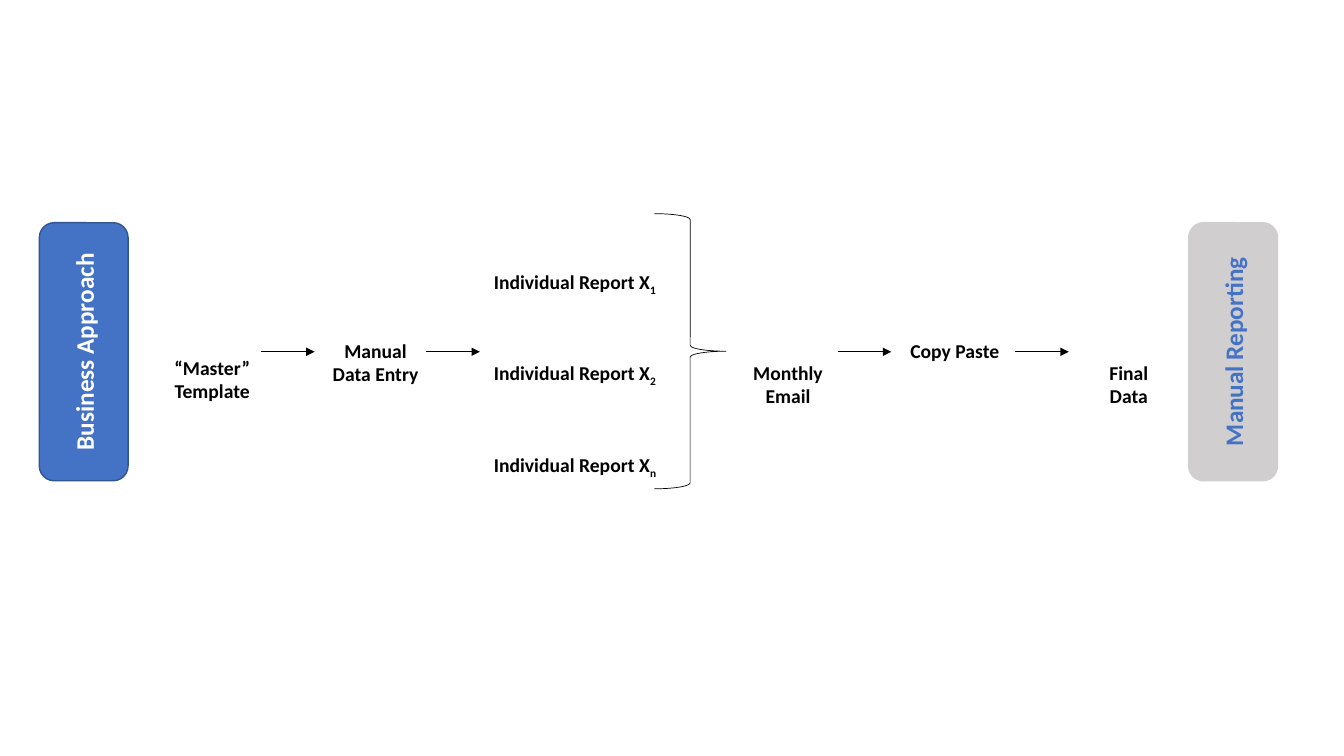
from dataclasses import dataclass

from lxml import etree
from pptx import Presentation, util as u
from pptx.dml.color import RGBColor
from pptx.enum import shapes, text
from pptx.oxml.ns import qn

# Grid: each column and row is a tenth of an inch
UNIT = 0.1
FONT = "Calibri"
BLACK, WHITE, BLUE, NAVY, GREY = "000000", "FFFFFF", "4472C4", "325491", "D0CECE"
AXIS = 34.9  # row of the arrows
LEFT, MID = text.PP_ALIGN.LEFT, text.PP_ALIGN.CENTER


@dataclass
class Panel:
    words: str
    col: float
    fill: str
    edge: str
    ink: str


@dataclass
class Label:
    lines: list[str]
    col: float
    row: float
    width: float
    sub: str = ""
    align: text.PP_ALIGN = MID


PANELS = [
    Panel("Business Approach", 3.9, BLUE, NAVY, WHITE),
    Panel("Manual Reporting", 117.9, GREY, GREY, BLUE),
]
STEPS = [
    Label(["“Master”", "Template"], 16.1, 34.8, 9.9),
    Label(["Manual Data Entry"], 31.5, 33.1, 11.5),
    Label(["Monthly", "Email"], 73.2, 35.3, 9.9),
    Label(["Copy Paste"], 89.3, 33.1, 11.5, align=LEFT),
    Label(["Final", "Data"], 107, 35.3, 9.9),
]
REPORTS = [
    Label(["Individual Report X"], 48, 26.3 + 9.05 * i, 20, sub, LEFT)
    for i, sub in enumerate("12n")
]
ARROWS = [25.9, 42.3, 83.1, 100.7]


def cell(n: float) -> int:
    return u.Inches(n * UNIT)


def paint(target, color: str) -> None:
    target.rgb = RGBColor.from_string(color)


def style(para, size: int, color: str, align: text.PP_ALIGN) -> None:
    para.alignment = align
    font = para.font
    font.name, font.size, font.bold = FONT, u.Pt(size), True
    paint(font.color, color)


def add_panel(slide, panel: Panel) -> None:
    box = slide.shapes.add_shape(
        shapes.MSO_SHAPE.ROUNDED_RECTANGLE,
        cell(panel.col), cell(22.1), cell(8.8), cell(25.6))
    box.shadow.inherit = False
    box.fill.solid()
    paint(box.fill.fore_color, panel.fill)
    paint(box.line.color, panel.edge)
    box.line.width = u.Pt(1)
    frame = box.text_frame
    frame.text = panel.words
    frame.vertical_anchor = text.MSO_ANCHOR.MIDDLE
    frame._txBody.bodyPr.set("vert", "vert270")
    style(frame.paragraphs[0], 18, panel.ink, MID)


def add_label(slide, label: Label) -> None:
    tall = 3.4 if label.align == LEFT else 5.7
    box = slide.shapes.add_textbox(
        cell(label.col), cell(label.row), cell(label.width), cell(tall))
    frame = box.text_frame
    frame.word_wrap = True
    frame.text = "\n".join(label.lines)
    if label.sub:
        run = frame.paragraphs[0].add_run()
        run.text = label.sub
        run.font._element.set("baseline", "-25000")
    for para in frame.paragraphs:
        style(para, 14, BLACK, label.align)


def add_arrow(slide, col: float) -> None:
    arrow = slide.shapes.add_connector(
        shapes.MSO_CONNECTOR.STRAIGHT,
        cell(col), cell(AXIS), cell(col + 5.3), cell(AXIS))
    paint(arrow.line.color, BLACK)
    arrow.line.width = u.Pt(0.5)
    head = etree.SubElement(arrow.line._get_or_add_ln(), qn("a:tailEnd"))
    head.set("type", "triangle")
    etree.SubElement(arrow._element.spPr, qn("a:effectLst"))


def add_brace(slide) -> None:
    brace = slide.shapes.add_shape(
        shapes.MSO_SHAPE.RIGHT_BRACE,
        cell(64.9), cell(21.2), cell(7.1), cell(27.3))
    brace.shadow.inherit = False
    brace.fill.background()
    paint(brace.line.color, BLACK)
    brace.line.width = u.Pt(0.5)


def main() -> None:
    deck = Presentation()
    deck.slide_width, deck.slide_height = u.Inches(13.33), u.Inches(7.5)
    slide = deck.slides.add_slide(deck.slide_layouts[6])

    # End panels
    for panel in PANELS:
        add_panel(slide, panel)

    # Reports gathered by the brace
    add_brace(slide)
    for label in REPORTS + STEPS:
        add_label(slide, label)

    # Flow between the steps
    for col in ARROWS:
        add_arrow(slide, col)

    deck.save("out.pptx")


if __name__ == "__main__":
    main()
